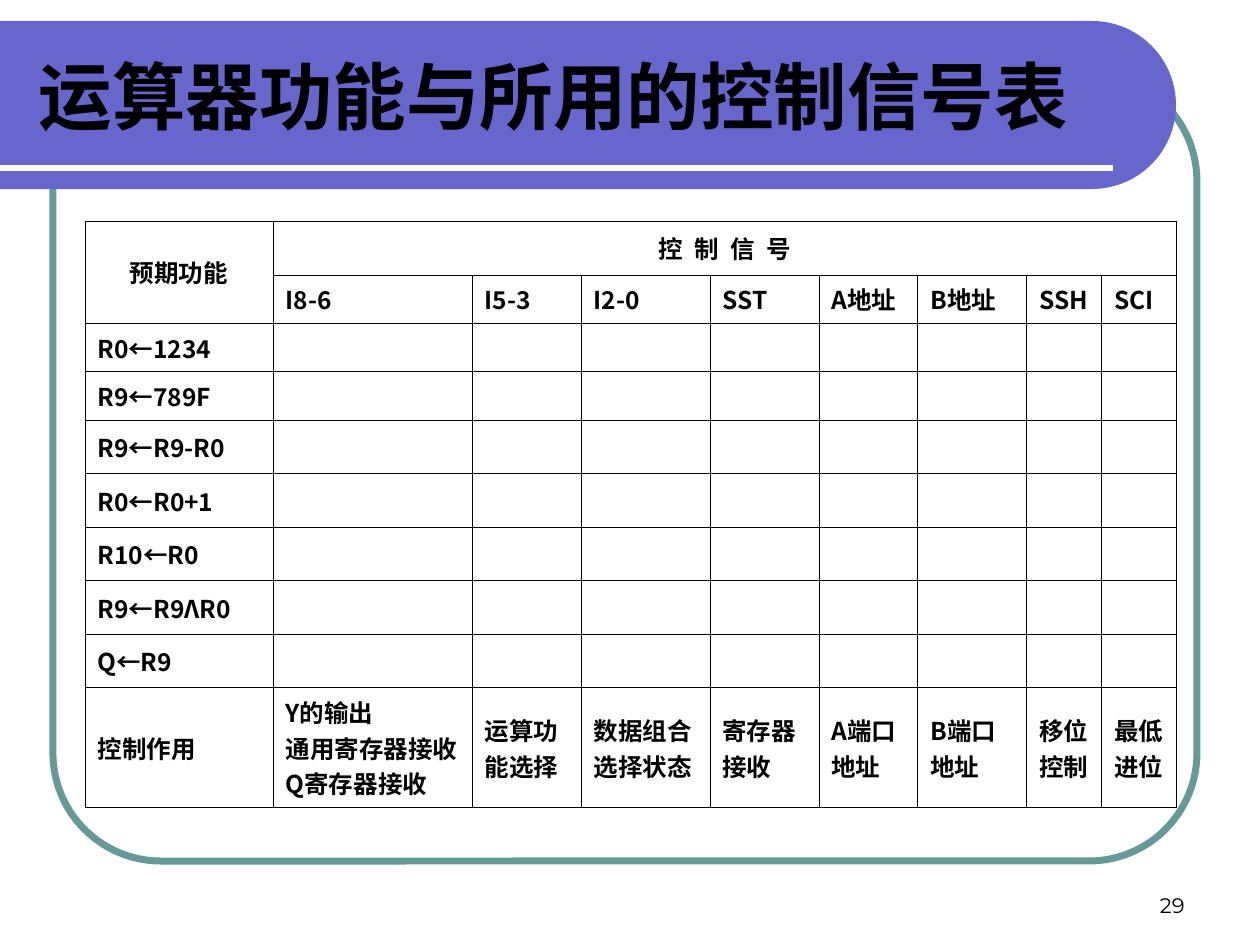
import math
from lxml import etree
from pptx import Presentation
from pptx import util as u
from pptx.dml.color import RGBColor
from pptx.enum import shapes, text
from pptx.oxml import ns

PX_PER_INCH = 126
CJK_FONT = "Noto Sans CJK SC"
COLUMN_WIDTHS = [188, 199, 109, 129, 109, 99, 109, 75, 75]
ROW_HEIGHTS = [54, 48, 48, 49, 53, 54, 53, 54, 53, 120]
SIGNALS = ["I8-6", "I5-3", "I2-0", "SST", "A地址", "B地址", "SSH", "SCI"]
FUNCTIONS = ["R0←1234", "R9←789F", "R9←R9-R0", "R0←R0+1", "R10←R0",
             "R9←R9ΛR0", "Q←R9"]
EFFECTS = ["控制作用", "Y的输出\n通用寄存器接收\nQ寄存器接收", "运算功\n能选择",
           "数据组合\n选择状态", "寄存器\n接收", "A端口\n地址", "B端口\n地址",
           "移位\n控制", "最低\n进位"]
CELL_FORMAT = {"name": CJK_FONT, "size": u.Pt(14), "bold": True}
TITLE_FORMAT = {"name": "Arial", "size": u.Pt(42), "bold": True}
NUMBER_FORMAT = {"name": "Montserrat", "size": u.Pt(12), "bold": False}


def px(length):
    return u.Emu(round(length * 914400 / PX_PER_INCH))


def box(left, top, width, height):
    return [px(length) for length in (left, top, width, height)]


def color(hex_code):
    return RGBColor.from_string(hex_code)


def write(frame, content, font_format, align=text.PP_ALIGN.LEFT):
    """Fill a text frame, one paragraph for each line of content."""
    frame.word_wrap = True
    for index, line in enumerate(content.split("\n")):
        paragraph = frame.paragraphs[0] if index == 0 else frame.add_paragraph()
        paragraph.alignment = align
        run = paragraph.add_run()
        run.text = line
        for name, value in font_format.items():
            setattr(run.font, name, value)
        run.font.color.rgb = color("000000")
        east_asian = etree.SubElement(run.font._element, ns.qn("a:ea"))
        east_asian.set("typeface", CJK_FONT)
        run.font._element.find(ns.qn("a:latin")).addnext(east_asian)


def add_frame(slide):
    frame = slide.shapes.add_shape(shapes.MSO_SHAPE.ROUNDED_RECTANGLE,
                                   *box(53, 73, 1144, 788))
    frame.adjustments[0] = 0.137
    frame.fill.background()
    frame.line.color.rgb = color("669999")
    frame.line.width = u.Pt(4)
    frame.shadow.inherit = False


def add_banner(slide):
    """Draw a band from the left edge that ends in a half circle."""
    center_x, center_y, radius, steps = 1092, 105, 84, 60
    angles = [math.pi * (step / steps - 0.5) for step in range(steps + 1)]
    arc = [(px(center_x + radius * math.cos(angle)),
            px(center_y + radius * math.sin(angle))) for angle in angles]
    builder = slide.shapes.build_freeform(0, px(center_y - radius))
    builder.add_line_segments(arc + [(0, px(center_y + radius))], close=True)
    banner = builder.convert_to_shape()
    banner.fill.solid()
    banner.fill.fore_color.rgb = color("6666CC")
    banner.line.fill.background()
    banner.shadow.inherit = False


def add_rule(slide):
    rule = slide.shapes.add_connector(shapes.MSO_CONNECTOR.STRAIGHT,
                                      px(0), px(168), px(1113), px(168))
    rule.line.color.rgb = color("FFFFFF")
    rule.line.width = u.Pt(3)
    etree.SubElement(rule._element.spPr, ns.qn("a:effectLst"))


def place_title(slide, content):
    title = slide.shapes.title
    title.left, title.top, title.width, title.height = box(26, 32, 1105, 126)
    title.text_frame.vertical_anchor = text.MSO_ANCHOR.MIDDLE
    write(title.text_frame, content, TITLE_FORMAT)
    slide.shapes._spTree.append(title._element)  # in front of the banner


def add_borders(cell):
    properties = cell._tc.get_or_add_tcPr()
    for index, side in enumerate(("lnL", "lnR", "lnT", "lnB")):
        line = etree.Element(ns.qn(f"a:{side}"), w=str(u.Pt(0.45)))
        fill = etree.SubElement(line, ns.qn("a:solidFill"))
        etree.SubElement(fill, ns.qn("a:srgbClr"), val="000000")
        properties.insert(index, line)


def format_cell(cell, content, align):
    cell.vertical_anchor = text.MSO_ANCHOR.MIDDLE
    cell.margin_left = cell.margin_right = u.Inches(0.1)
    cell.margin_top = cell.margin_bottom = u.Inches(0.05)
    cell.fill.background()
    add_borders(cell)
    if content:
        write(cell.text_frame, content, CELL_FORMAT, align)
    else:
        paragraph = cell.text_frame.paragraphs[0]._p
        etree.SubElement(paragraph, ns.qn("a:endParaRPr"), sz="1400")


def add_signal_table(slide):
    blanks = [""] * len(SIGNALS)
    rows = [["预期功能", "控 制 信 号"] + blanks[1:], [""] + SIGNALS]
    rows += [[function] + blanks for function in FUNCTIONS] + [EFFECTS]
    graphic = slide.shapes.add_table(
        len(rows), len(COLUMN_WIDTHS),
        *box(85, 221, sum(COLUMN_WIDTHS), sum(ROW_HEIGHTS)))
    table = graphic.table
    table.first_row = table.horz_banding = False
    for column, width in zip(table.columns, COLUMN_WIDTHS):
        column.width = px(width)
    for row, height in zip(table.rows, ROW_HEIGHTS):
        row.height = px(height)
    for row_index, row in enumerate(rows):
        align = text.PP_ALIGN.LEFT if row_index else text.PP_ALIGN.CENTER
        for column_index, content in enumerate(row):
            format_cell(table.cell(row_index, column_index), content, align)
    table.cell(0, 0).merge(table.cell(1, 0))
    table.cell(0, 1).merge(table.cell(0, len(SIGNALS)))
    heading = table.cell(0, 1).text_frame.paragraphs[0].runs[0]
    heading.font._element.set("spc", "170")


def add_slide_number(slide, number):
    frame = slide.shapes.add_textbox(*box(903, 861, 294, 63)).text_frame
    frame.vertical_anchor = text.MSO_ANCHOR.BOTTOM
    write(frame, number, NUMBER_FORMAT, text.PP_ALIGN.RIGHT)


def main():
    presentation = Presentation()
    presentation.slide_width, presentation.slide_height = px(1260), px(945)
    slide = presentation.slides.add_slide(presentation.slide_layouts[5])
    add_frame(slide)
    add_banner(slide)
    add_rule(slide)
    place_title(slide, "运算器功能与所用的控制信号表")
    add_signal_table(slide)
    add_slide_number(slide, "29")
    presentation.save("out.pptx")


if __name__ == "__main__":
    main()
